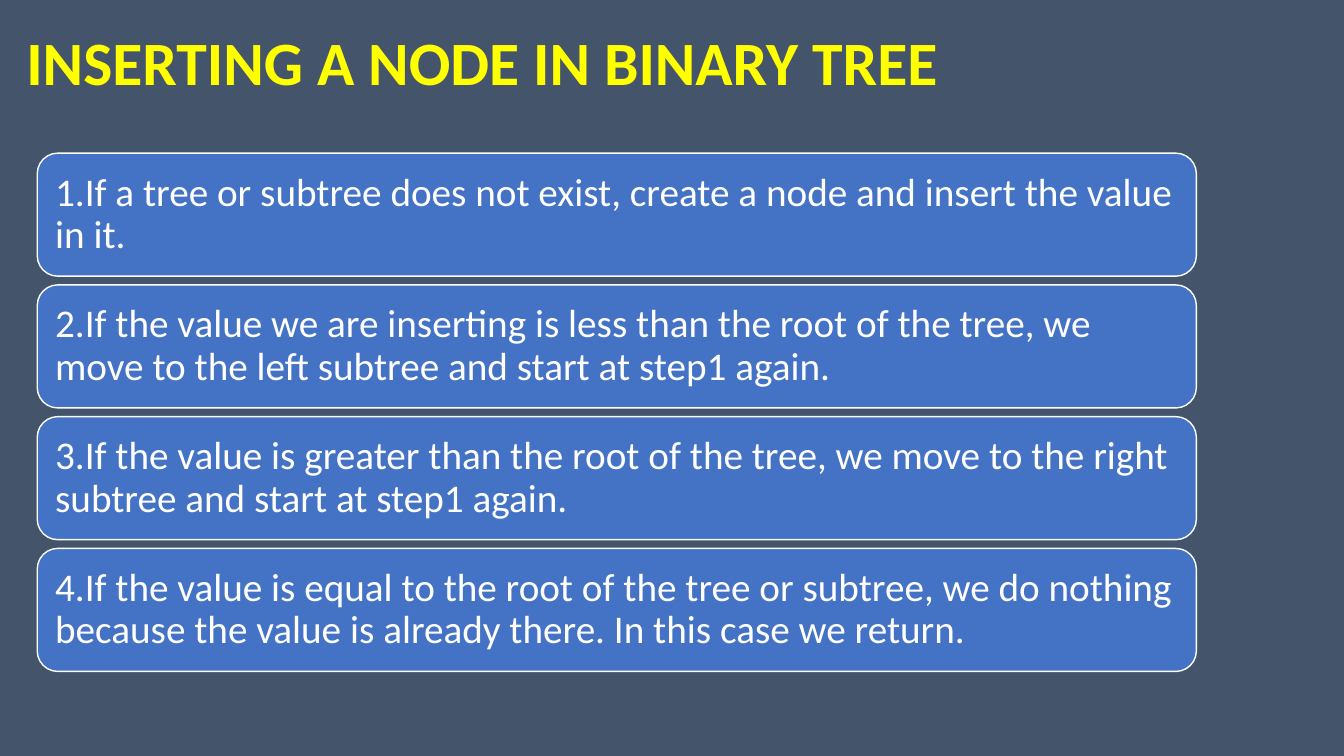
"""Build a slide listing the steps for inserting a node in a binary tree."""
from dataclasses import dataclass

from pptx import Presentation
from pptx.dml.color import RGBColor
from pptx.enum.shapes import MSO_SHAPE
from pptx.enum.text import MSO_ANCHOR, MSO_AUTO_SIZE, PP_ALIGN
from pptx.util import Cm, Pt

ROUNDED = MSO_SHAPE.ROUNDED_RECTANGLE
MIDDLE = MSO_ANCHOR.MIDDLE
NO_FIT = MSO_AUTO_SIZE.NONE
LEFT = PP_ALIGN.LEFT


@dataclass(frozen=True)
class Theme:
    font: str = "Calibri"
    background: RGBColor = RGBColor(0x44, 0x54, 0x6A)
    title: RGBColor = RGBColor(0xFF, 0xFF, 0x00)
    card: RGBColor = RGBColor(0x44, 0x72, 0xC4)
    text: RGBColor = RGBColor(0xFF, 0xFF, 0xFF)
    title_size: int = 44
    step_size: int = 28


THEME = Theme()
STEPS = [
    "1.If a tree or subtree does not exist, create a node and insert the value in it.",
    "2.If the value we are inserting is less than the root of the tree, we move to the "
    "left subtree and start at step1 again.",
    "3.If the value is greater than the root of the tree, we move to the right subtree "
    "and start at step1 again.",
    "4.If the value is equal to the root of the tree or subtree, we do nothing because "
    "the value is already there. In this case we return.",
]
CARD_LEFT, CARD_TOP = 0.94, 3.86
CARD_WIDTH, CARD_HEIGHT = 29.21, 3.1
CARD_PITCH = 3.32
CARD_MARGIN = 0.3


def write(box, text, size, color, bold=False):
    frame = box.text_frame
    frame.word_wrap = True
    frame.auto_size = NO_FIT
    frame.vertical_anchor = MIDDLE
    para = frame.paragraphs[0]
    para.alignment = LEFT
    para.line_spacing = 0.9
    span = para.add_run()
    span.text = text
    span.font.name = THEME.font
    span.font.size = Pt(size)
    span.font.bold = bold
    span.font.color.rgb = color


deck = Presentation()
deck.slide_width, deck.slide_height = Cm(33.87), Cm(19.05)
page = deck.slides.add_slide(deck.slide_layouts.get_by_name("Title Only"))
page.background.fill.solid()
page.background.fill.fore_color.rgb = THEME.background

title = page.shapes.title
title.left, title.top = Cm(0.41), Cm(-0.2)
title.width, title.height = Cm(29.21), Cm(3.68)
write(title, "INSERTING A NODE IN BINARY TREE", THEME.title_size, THEME.title, bold=True)

for index, step in enumerate(STEPS):
    card = page.shapes.add_shape(
        ROUNDED, Cm(CARD_LEFT), Cm(CARD_TOP + index * CARD_PITCH),
        Cm(CARD_WIDTH), Cm(CARD_HEIGHT))
    card.shadow.inherit = False
    card.fill.solid()
    card.fill.fore_color.rgb = THEME.card
    card.line.color.rgb = THEME.text
    card.line.width = Pt(1)
    frame = card.text_frame
    frame.margin_left = frame.margin_right = Cm(CARD_MARGIN)
    frame.margin_top = frame.margin_bottom = Cm(CARD_MARGIN)
    write(card, step, THEME.step_size, THEME.text)

deck.save("out.pptx")
